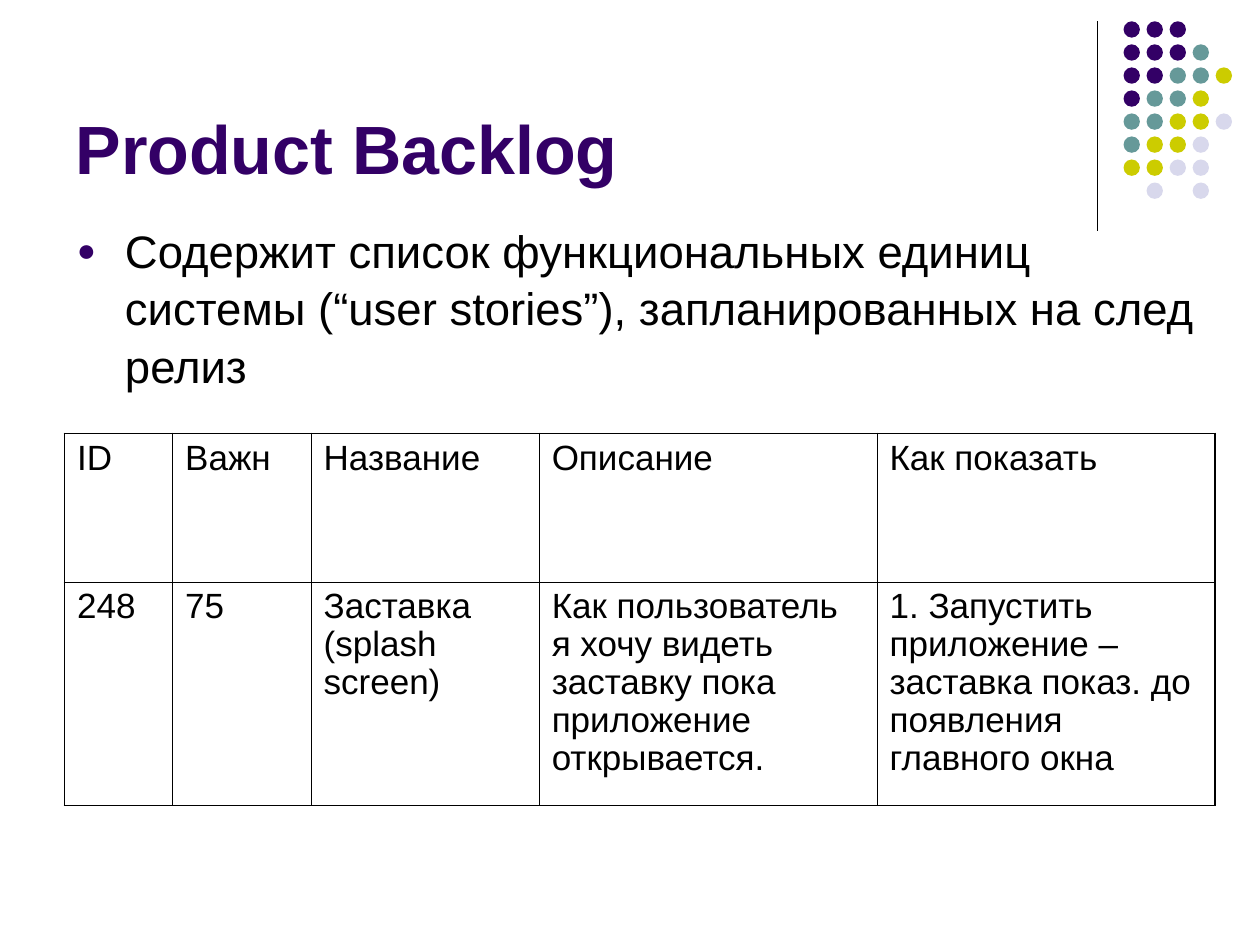
from lxml.etree import SubElement
from pptx import Presentation
from pptx.dml.color import RGBColor
from pptx.enum.shapes import MSO_CONNECTOR, MSO_SHAPE
from pptx.enum.text import MSO_ANCHOR, MSO_AUTO_SIZE, PP_ALIGN
from pptx.oxml.ns import qn
from pptx.util import Cm, Pt

BLACK = RGBColor(0x00, 0x00, 0x00)
WHITE = RGBColor(0xFF, 0xFF, 0xFF)
PURPLE = RGBColor(0x33, 0x00, 0x66)
TEAL = RGBColor(0x66, 0x99, 0x99)
OLIVE = RGBColor(0xCC, 0xCC, 0x00)
LILAC = RGBColor(0xD8, 0xD8, 0xEC)

DOT_COLORS = {"P": PURPLE, "T": TEAL, "O": OLIVE, "L": LILAC}
DOT_ROWS = ["PPP", "PPPT", "PPTTO", "PTTO", "TTOOL", "TOOL", "OOLL", ".L.L"]
COLUMN_WIDTHS = [2.18, 2.79, 4.6, 6.81, 6.81]
ROW_HEIGHTS = [3, 4.5]
BACKLOG = [
    ["ID", "Важн", "Название", "Описание", "Как показать"],
    [
        "248",
        "75",
        "Заставка (splash screen)",
        "Как пользователь я хочу видеть заставку пока приложение открывается.",
        "1. Запустить приложение – заставка показ. до появления главного окна",
    ],
]


class SlideBuilder:
    """Draws styled elements on the current slide."""

    font = "Arial"
    thin = Pt(0.45)
    thick = Pt(1.08)

    def __init__(self, slide):
        self.slide = slide

    def style(self, p, size, color, bold=False):
        p.alignment = PP_ALIGN.LEFT
        for r in p.runs:
            r.font.name = self.font
            r.font.size = Pt(size)
            r.font.bold = bold
            r.font.color.rgb = color

    def title(self, text, left, top, width, height):
        sp = self.slide.shapes.title
        sp.left, sp.top, sp.width, sp.height = Cm(left), Cm(top), Cm(width), Cm(height)
        tf = sp.text_frame
        tf.text = text
        tf.auto_size = MSO_AUTO_SIZE.NONE
        tf.vertical_anchor = MSO_ANCHOR.BOTTOM
        self.style(tf.paragraphs[0], 39, PURPLE, bold=True)

    def bullet(self, text, left, top, width, height):
        sp = self.slide.shapes.add_textbox(Cm(left), Cm(top), Cm(width), Cm(height))
        tf = sp.text_frame
        tf.word_wrap = True
        tf.text = text
        p = tf.paragraphs[0]
        p.line_spacing = 1.05
        pPr = p._p.get_or_add_pPr()
        pPr.set("marL", str(Cm(0.97)))
        pPr.set("indent", str(-Cm(0.97)))
        color = SubElement(pPr, qn("a:buClr"))
        SubElement(color, qn("a:srgbClr"), val=str(PURPLE))
        SubElement(pPr, qn("a:buSzPct"), val="70000")
        SubElement(pPr, qn("a:buFont"), typeface=self.font)
        SubElement(pPr, qn("a:buChar"), char="●")
        self.style(p, 26, BLACK)

    def line(self, x1, y1, x2, y2):
        cxn = self.slide.shapes.add_connector(
            MSO_CONNECTOR.STRAIGHT, Cm(x1), Cm(y1), Cm(x2), Cm(y2)
        )
        cxn.line.color.rgb = BLACK
        cxn.line.width = Pt(0.75)
        SubElement(cxn._element.spPr, qn("a:effectLst"))

    def dots(self, rows, left, top, pitch, size):
        for i, row in enumerate(rows):
            for j, key in enumerate(row):
                if key in DOT_COLORS:
                    sp = self.slide.shapes.add_shape(
                        MSO_SHAPE.OVAL,
                        Cm(left + j * pitch),
                        Cm(top + i * pitch),
                        Cm(size),
                        Cm(size),
                    )
                    sp.shadow.inherit = False
                    sp.fill.solid()
                    sp.fill.fore_color.rgb = DOT_COLORS[key]
                    sp.line.fill.background()

    def borders(self, cell, outer):
        tcPr = cell._tc.get_or_add_tcPr()
        for side in ("lnL", "lnR", "lnT", "lnB"):
            width = self.thick if side in outer else self.thin
            ln = SubElement(tcPr, qn(f"a:{side}"), w=str(width))
            fill = SubElement(ln, qn("a:solidFill"))
            SubElement(fill, qn("a:srgbClr"), val=str(BLACK))

    def table(self, data, widths, heights, left, top):
        table = self.slide.shapes.add_table(
            len(data), len(widths), Cm(left), Cm(top), Cm(sum(widths)), Cm(sum(heights))
        ).table
        table.first_row = table.horz_banding = False
        for column, width in zip(table.columns, widths):
            column.width = Cm(width)
        for i, (row, height) in enumerate(zip(data, heights)):
            table.rows[i].height = Cm(height)
            for j, text in enumerate(row):
                cell = table.cell(i, j)
                cell.text = text
                edges = {
                    "lnL": j == 0,
                    "lnR": j == len(widths) - 1,
                    "lnT": i == 0,
                    "lnB": i == len(data) - 1,
                }
                self.borders(cell, [side for side, edge in edges.items() if edge])
                cell.fill.solid()
                cell.fill.fore_color.rgb = WHITE
                p = cell.text_frame.paragraphs[0]
                p.line_spacing = 0.97
                self.style(p, 20, BLACK)


def main():
    prs = Presentation()
    prs.slide_width, prs.slide_height = Cm(25.4), Cm(19.05)
    s = SlideBuilder(prs.slides.add_slide(prs.slide_layouts[5]))
    s.line(22.12, 0.43, 22.12, 4.65)
    s.dots(DOT_ROWS, left=22.65, top=0.43, pitch=3.25 / 7, size=0.33)
    s.title("Product Backlog", 1.27, 0.33, 20.96, 3.6)
    s.bullet(
        "Содержит список функциональных единиц системы (“user stories”), "
        "запланированных на след релиз",
        1.3, 4.32, 23.24, 12.24,
    )
    s.table(BACKLOG, COLUMN_WIDTHS, ROW_HEIGHTS, left=1.3, top=8.74)
    prs.save("out.pptx")


if __name__ == "__main__":
    main()
